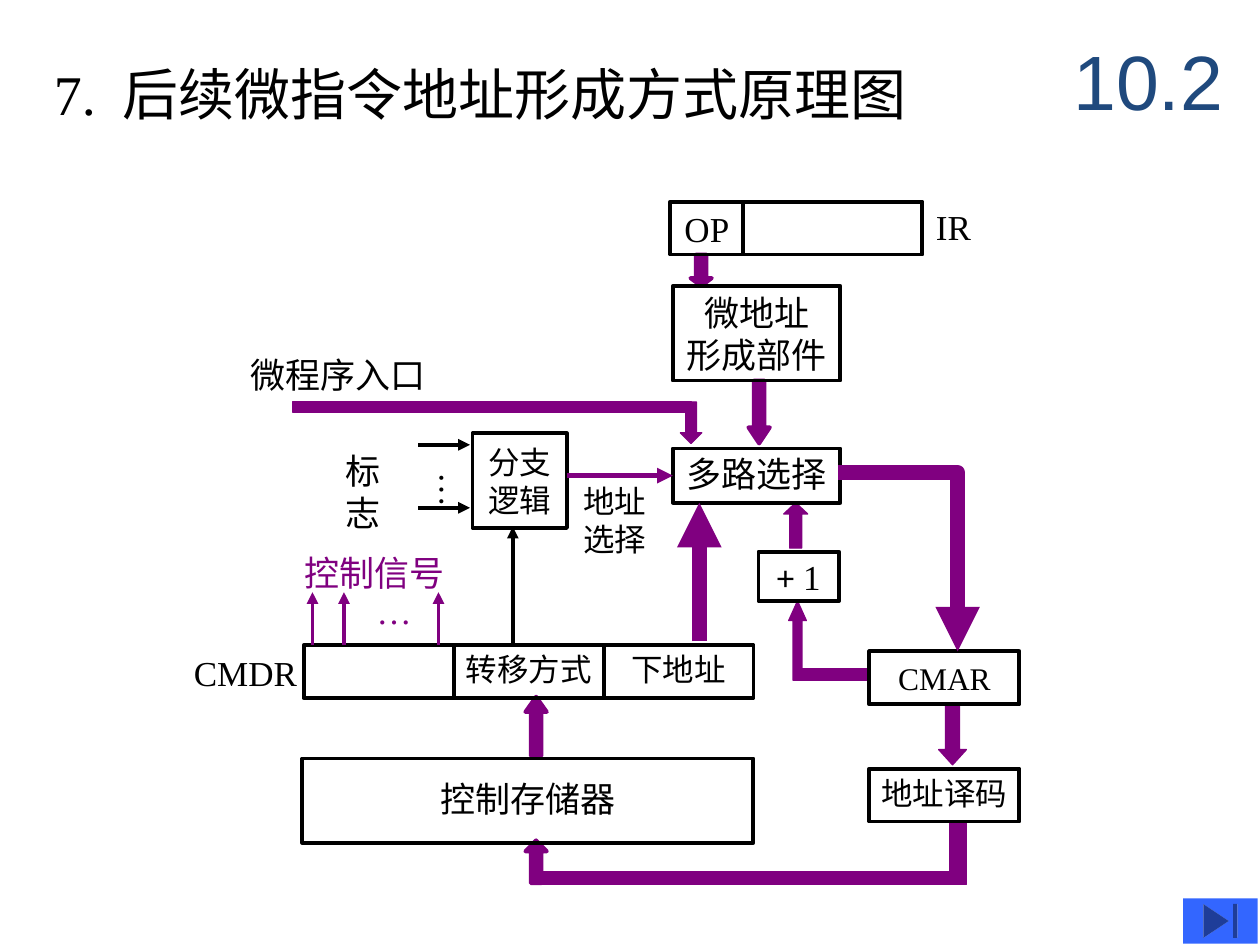
from typing import NamedTuple

from lxml.etree import SubElement
from pptx import Presentation
from pptx.dml.color import RGBColor
from pptx.enum.shapes import MSO_CONNECTOR as Conn, MSO_SHAPE as Kind
from pptx.enum.text import MSO_ANCHOR as Anchor, PP_ALIGN as Align
from pptx.oxml.ns import qn
from pptx.util import Inches, Pt

WIDE, HIGH = Inches(10), Inches(7.5)
COLS = 100  # square grid cells: 100 columns by 75 rows
INK, PLUM, NAVY, BLUE = "000000", "800080", "1F497D", "3366FF"
SERIF = "Times New Roman"
RIGHT_OF, LEFT_OF = 3, 1


class Run(NamedTuple):
    text: str
    font: str = SERIF
    gap: int = 0  # letter spacing in points


class Box(NamedTuple):
    x: float
    y: float
    w: float
    h: float
    text: str = ""
    size: int = 20
    lift: float = 0  # extra inset below the text


class Label(NamedTuple):
    x: float
    y: float
    w: float
    h: float
    runs: tuple
    size: int = 20
    color: str = INK
    wrap: bool = False


class Block(NamedTuple):
    kind: Kind
    x: float
    y: float
    w: float
    h: float
    head: float = 0  # head length over arrow width
    edge: float = 2.25


class Wire(NamedTuple):
    points: tuple
    color: str = INK
    width: float = 2.25


def cell(n: float) -> int:
    return round(WIDE * n / COLS)


def rgb(code: str) -> RGBColor:
    return RGBColor.from_string(code)


def write(para, runs: tuple, size: int, color: str) -> None:
    for part in runs:
        run = para.add_run()
        run.text = part.text
        run.font.size, run.font.name = Pt(size), part.font
        run.font.color.rgb = rgb(color)
        if part.gap:
            run.font._element.set("spc", str(part.gap * 100))


def add_box(shapes, box: Box):
    rect = shapes.add_shape(Kind.RECTANGLE, *map(cell, box[:4]))
    rect.shadow.inherit = False
    rect.fill.background()
    rect.line.color.rgb = rgb(INK)
    rect.line.width = Pt(2.25)
    frame = rect.text_frame
    frame.word_wrap = False
    frame.vertical_anchor = Anchor.MIDDLE
    frame.margin_left = frame.margin_right = frame.margin_top = 0
    frame.margin_bottom = cell(box.lift)
    for i, line in enumerate(box.text.split("\n") if box.text else []):
        para = frame.add_paragraph() if i else frame.paragraphs[0]
        para.alignment = Align.CENTER
        write(para, (Run(line),), box.size, INK)
    return rect


def add_label(shapes, item: Label):
    text = shapes.add_textbox(*map(cell, item[:4]))
    frame = text.text_frame
    frame.word_wrap = item.wrap
    for i, line in enumerate(item.runs):
        para = frame.add_paragraph() if i else frame.paragraphs[0]
        write(para, line, item.size, item.color)
    return text


def add_block(shapes, item: Block) -> None:
    block = shapes.add_shape(item.kind, *map(cell, item[1:5]))
    block.shadow.inherit = False
    block.fill.solid()
    block.fill.fore_color.rgb = rgb(PLUM)
    block.line.color.rgb = rgb(PLUM)
    block.line.width = Pt(item.edge)
    if item.head:
        block.adjustments[0], block.adjustments[1] = 0.5, item.head


def add_wire(shapes, wire: Wire):
    """Draw an arrow: a connector for two points, an outline for more."""
    pts = [(cell(x), cell(y)) for x, y in wire.points]
    if len(pts) == 2:
        path = shapes.add_connector(Conn.STRAIGHT, *pts[0], *pts[1])
        SubElement(path._element.spPr, qn("a:effectLst"))
    else:
        pen = shapes.build_freeform(*pts[0], scale=1.0)
        pen.add_line_segments(pts[1:], close=False)
        path = pen.convert_to_shape()
        path.shadow.inherit = False
        path.fill.background()
    path.line.color.rgb = rgb(wire.color)
    path.line.width = Pt(wire.width)
    line = path.line._get_or_add_ln()
    SubElement(line, qn("a:round"))
    SubElement(line, qn("a:tailEnd"), type="triangle")
    return path


def plain(*lines: str) -> tuple:
    return tuple((Run(line),) for line in lines)


DOWN, UP, BAR = Kind.DOWN_ARROW, Kind.UP_ARROW, Kind.RECTANGLE
BLOCKS = [
    Block(DOWN, 74.5, 55.8, 2.2, 4.9, 0.55, 0.75),
    Block(UP, 41.7, 55.3, 1.7, 4.7, 0.71),
    Block(DOWN, 59.4, 30.2, 1.7, 5, 0.75),
    Block(DOWN, 54.8, 20.2, 1.7, 2.5, 0.37),
    Block(BAR, 23.2, 31.9, 31.7, 0.8, 0, 0.75),
    Block(DOWN, 54, 31.9, 1.7, 3.3, 0.5, 0.75),
    Block(BAR, 75.4, 65.2, 1.3, 5, 0, 0.75),
    Block(UP, 62.2, 39.9, 1.9, 3.6, 0.47, 0.75),
    Block(BAR, 63.3, 53.1, 5.7, 0.9, 0, 0.75),
    Block(UP, 62.6, 47.7, 1.4, 6.3, 1.11, 0.75),
    Block(BAR, 42.3, 69.2, 33.5, 1, 0, 0.75),
    Block(UP, 41.7, 66.7, 1.7, 3.4, 0.51),
]
SLOT, DEEP = 11.9, 4.2
BOXES = [
    Box(53.2, 16, 5.8, DEEP, "OP"),
    Box(59, 16, 14.2, DEEP),
    Box(53.4, 22.7, 13.3, 7.5, "微地址\n形成部件"),
    Box(37.5, 34.4, 7.5, 7.5, "分支\n逻辑", 18),
    Box(69, 51.7, SLOT, DEEP, "CMAR", 18),
    Box(69, 61, SLOT, DEEP, "地址译码", 18, 0.4),
    Box(24, 60.2, 35.8, 6.7, "控制存储器", 20, 0.4),
] + [
    Box(24.1 + i * SLOT, 51.2, SLOT, DEEP, name, 18, 0.4)
    for i, name in enumerate(("", "转移方式", "下地址"))
]
MUX = Box(53.4, 35.6, 13.3, 4.3, "多路选择", 20, 0.4)
LABELS = [
    Label(3.3, 4.2, 85.1, 6.4,
          ((Run("7."), Run(" ", gap=7),
            Run("后续微指令地址形成方式原理图", "DejaVu Sans")),), 32, INK, True),
    Label(45.3, 37.8, 7, 7, plain("地址", "选择"), 18),
    Label(14.4, 51.2, 10.2, 4.4, plain("CMDR")),
    Label(28.9, 46.3, 4.8, 4.4, plain("…"), 20, PLUM),
    Label(23.2, 43.3, 13.1, 4.4, plain("控制信号"), 20, PLUM),
    Label(26.4, 35.2, 7.5, 4.4, plain("标志")),
    Label(18.9, 27.6, 15.9, 4.4, plain("微程序入口")),
    Label(73.3, 15.8, 4.8, 4.4, plain("IR")),
]
WIRES = [Wire(((x, 51.2), (x, 47)), PLUM) for x in (24.8, 27.3, 34.8)]
WIRES += [Wire(((33.2, y), (37.3, y))) for y in (35.3, 40.3)]
WIRES += [
    Wire(((40.7, 51.1), (40.7, 41.8))),
    Wire(((66.5, 37.5), (76, 37.5), (76, 51.7)), PLUM, 8.5),
    Wire(((55.5, 50.9), (55.5, 39.9)), PLUM, 8.5),
]


def main() -> None:
    deck = Presentation()
    deck.slide_width, deck.slide_height = WIDE, HIGH
    shapes = deck.slides.add_slide(deck.slide_layouts[6]).shapes

    for block in BLOCKS:
        add_block(shapes, block)
    for box in BOXES:
        add_box(shapes, box)
    mux = add_box(shapes, MUX)
    plus = add_box(shapes, Box(60.2, 43.8, 6.4, 3.9))
    para = plus.text_frame.paragraphs[0]
    para.alignment = Align.CENTER
    write(para, (Run("+", "Calibri"), Run(" 1")), 20, INK)

    for item in LABELS:
        add_label(shapes, item)
    dots = add_label(shapes, Label(32.9, 36.5, 5.3, 3.8, plain("…")))
    frame = dots.text_frame
    frame._txBody.bodyPr.set("vert", "eaVert")
    frame.margin_left = frame.margin_right = cell(0.5)
    frame.margin_top = frame.margin_bottom = cell(1)
    head = add_label(shapes, Label(84.2, 1.7, 15.8, 9.2,
                                   ((Run("10.2", "Arial"),),), 44, NAVY, True))
    head.text_frame.vertical_anchor = Anchor.MIDDLE

    for wire in WIRES:
        add_wire(shapes, wire)
    mid = MUX.y + MUX.h / 2
    pick = add_wire(shapes, Wire(((45, mid), (MUX.x, mid)), PLUM, 3))
    pick.end_connect(mux, LEFT_OF)

    last = shapes.add_shape(Kind.ACTION_BUTTON_END, *map(cell, (93.9, 71.3, 5.9, 3.6)))
    last.shadow.inherit = False
    last.fill.solid()
    last.fill.fore_color.rgb = rgb(BLUE)
    last.line.fill.background()
    deck.save("out.pptx")


if __name__ == "__main__":
    main()
